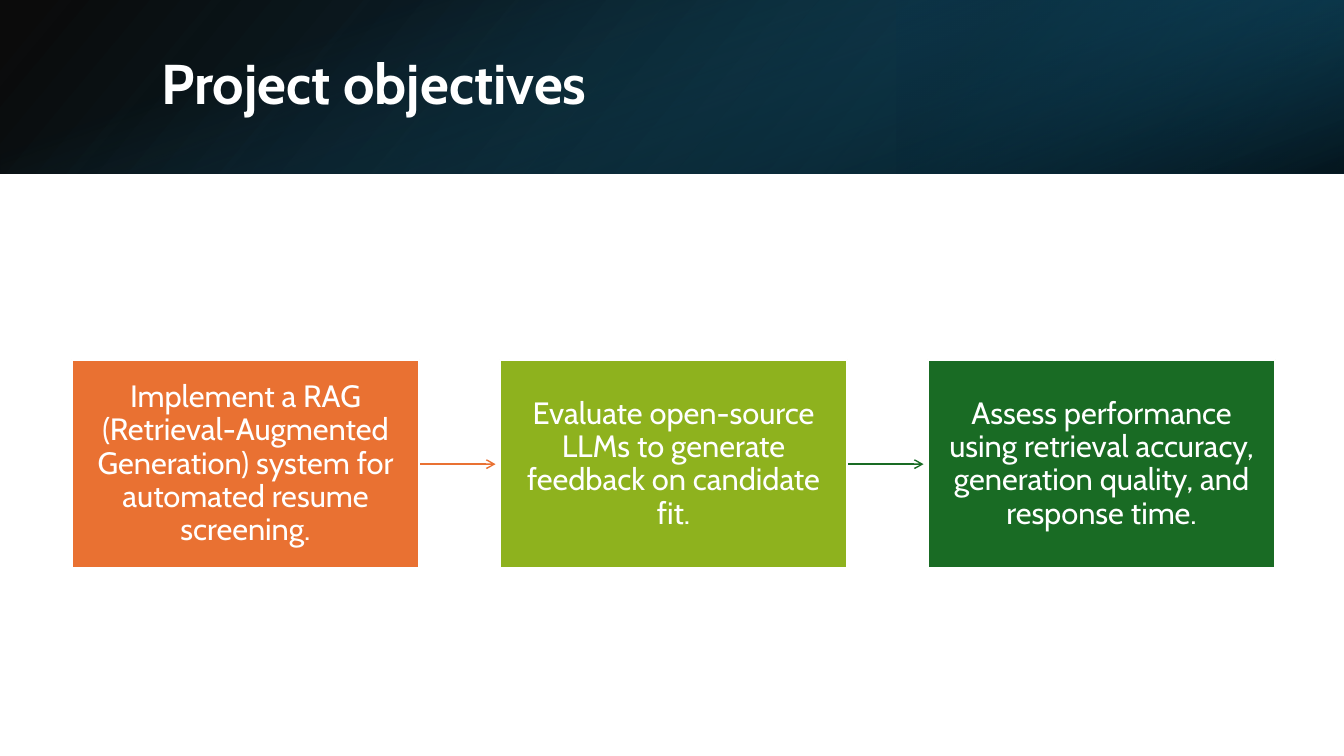
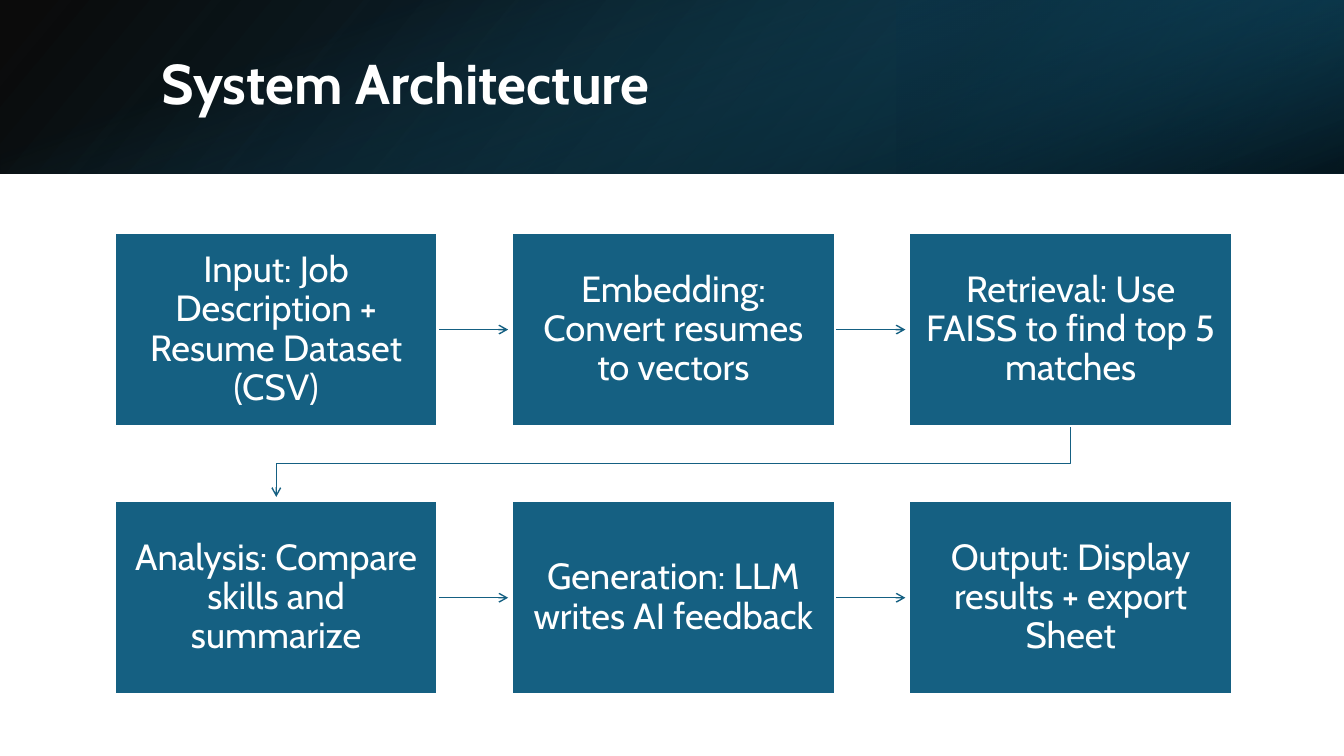
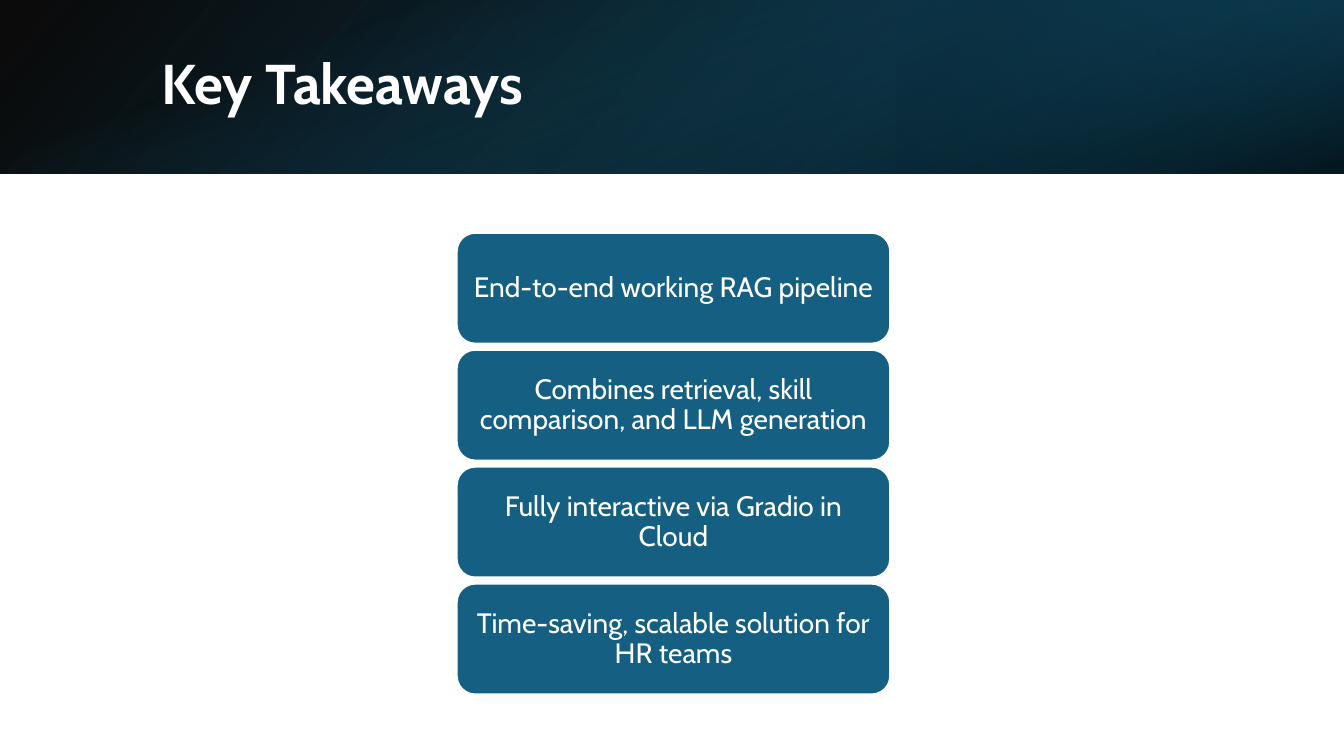
"""Build three slides on a RAG resume screening project."""
from pptx import Presentation
from pptx import util as u
from pptx.dml.color import RGBColor
from pptx.enum import shapes, text
from pptx.oxml import parse_xml
from pptx.oxml.ns import nsdecls

HUES = {"white": "FFFFFF", "black": "000000", "navy": "0B3041", "deep": "104862",
        "blue": "156082", "orange": "E97132", "lime": "8EB21E", "green": "196B24"}
KIND = shapes.MSO_SHAPE
WIDE, BAND = 13.33, 1.72

BANDS = [
    {"at": (0, 0, WIDE, BAND), "turn": 0, "flip": True, "angle": 140,
     "stops": [(0, "black", 96), (100, "deep", 100)]},
    {"at": (8.89, 0, 4.44, BAND), "turn": 180, "flip": True, "angle": 320,
     "stops": [(19, "navy", 68), (100, "blue", 79)]},
    {"at": ((WIDE - BAND) / 2, (BAND - WIDE) / 2, BAND, WIDE), "turn": 90,
     "flip": False, "angle": 340,
     "stops": [(23, "blue", 0), (99, "black", 74)]},
]

PAGES = [
    {"title": "Project objectives", "kind": KIND.RECTANGLE, "cols": 3,
     "start": (0.71, 3.57), "box": (3.45, 2.07), "step": (4.245, 0),
     "size": 22, "inset": (0.17, 0.18),
     "fills": ["orange", "lime", "green"], "lines": ["orange", "green"],
     "words": [
         "Implement a RAG (Retrieval-Augmented Generation) system for automated resume screening.",
         "Evaluate open-source LLMs to generate feedback on candidate fit.",
         "Assess performance using retrieval accuracy, generation quality, and response time."]},
    {"title": "System Architecture", "kind": KIND.RECTANGLE, "cols": 3,
     "start": (1.14, 2.31), "box": (3.2, 1.92), "step": (3.94, 2.66),
     "size": 26, "inset": (0.16, 0.16),
     "fills": ["blue"] * 6, "lines": ["blue"] * 5,
     "words": [
         "Input: Job Description + Resume Dataset (CSV)",
         "Embedding: Convert resumes to vectors",
         "Retrieval: Use FAISS to find top 5 matches",
         "Analysis: Compare skills and summarize",
         "Generation: LLM writes AI feedback",
         "Output: Display results + export Sheet"]},
    {"title": "Key Takeaways", "kind": KIND.ROUNDED_RECTANGLE, "cols": 1,
     "start": (4.53, 2.31), "box": (4.3, 1.1), "step": (0, 1.16),
     "size": 20, "inset": (0.08, 0.04),
     "fills": ["blue"] * 4, "lines": [],
     "words": [
         "End-to-end working RAG pipeline",
         "Combines retrieval, skill comparison, and LLM generation",
         "Fully interactive via Gradio in Cloud",
         "Time-saving, scalable solution for HR teams"]},
]


def write(frame, words, align, **style):
    """Put one styled paragraph in a text frame."""
    frame.text = words
    frame.word_wrap = True
    frame.vertical_anchor = text.MSO_ANCHOR.MIDDLE
    para = frame.paragraphs[0]
    para.alignment, para.line_spacing = align, 0.9
    font = para.runs[0].font
    for name, value in {"name": "Cabin", **style}.items():
        setattr(font, name, value)
    font.color.rgb = RGBColor.from_string(HUES["white"])


def arrow(page, points, hue):
    """Draw an arrow through the given points."""
    spots = [(u.Inches(x), u.Inches(y)) for x, y in points]
    if len(spots) == 2:
        line = page.shapes.add_connector(shapes.MSO_CONNECTOR.STRAIGHT, *spots[0], *spots[1])
        line.element.spPr.append(parse_xml(f"<a:effectLst {nsdecls('a')}/>"))
    else:
        form = page.shapes.build_freeform(*spots[0])
        form.add_line_segments(spots[1:], close=False)
        line = form.convert_to_shape()
        line.fill.background()
        line.shadow.inherit = False
    line.line.width = u.Pt(1)
    line.line.color.rgb = RGBColor.from_string(HUES[hue])
    line.line._get_or_add_ln().append(parse_xml(f'<a:tailEnd {nsdecls("a")} type="arrow"/>'))


deck = Presentation()
deck.slide_width, deck.slide_height = u.Inches(WIDE), u.Inches(7.5)
base = deck.slide_layouts.get_by_name("Title Only")
head = base.placeholders[0]
for name, value in {"left": 1.5, "top": 0.38, "width": 10.98, "height": 0.96}.items():
    setattr(head, name, u.Inches(value))

pages = [deck.slides.add_slide(base) for _ in PAGES]

for order, band in enumerate(BANDS):
    shape = pages[0].shapes.add_shape(KIND.RECTANGLE, *map(u.Inches, band["at"]))
    shape.rotation = band["turn"]
    shape.shadow.inherit = False
    shape.line.fill.background()
    shape.fill.background()
    stops = "".join(
        f'<a:gs pos="{spot * 1000}"><a:srgbClr val="{HUES[hue]}">'
        f'<a:alpha val="{alpha * 1000}"/></a:srgbClr></a:gs>'
        for spot, hue, alpha in band["stops"])
    blend = parse_xml(
        f'<a:gradFill {nsdecls("a")} rotWithShape="1"><a:gsLst>{stops}</a:gsLst>'
        f'<a:lin ang="{band["angle"] * 60000}" scaled="0"/></a:gradFill>')
    props = shape.element.spPr
    props.replace(props.find("{*}noFill"), blend)
    if band["flip"]:
        props.xfrm.set("flipH", "1")
    base.shapes.element.insert(2 + order, shape.element)

for page, plan in zip(pages, PAGES):
    write(page.shapes.title.text_frame, plan["title"], text.PP_ALIGN.LEFT,
          size=u.Pt(40), bold=True)
    wide, high = plan["box"]
    spots = [(plan["start"][0] + i % plan["cols"] * plan["step"][0],
              plan["start"][1] + i // plan["cols"] * plan["step"][1])
             for i in range(len(plan["words"]))]

    for (x, y), (nx, ny), hue in zip(spots, spots[1:], plan["lines"]):
        if y == ny:
            points = [(x + wide, y + high / 2), (nx - 0.04, y + high / 2)]
        else:
            mid = (y + high + ny) / 2
            points = [(x + wide / 2, y + high), (x + wide / 2, mid),
                      (nx + wide / 2, mid), (nx + wide / 2, ny - 0.04)]
        arrow(page, points, hue)

    for (x, y), words, hue in zip(spots, plan["words"], plan["fills"]):
        box = page.shapes.add_shape(plan["kind"], *map(u.Inches, (x, y, wide, high)))
        box.shadow.inherit = False
        box.fill.solid()
        box.fill.fore_color.rgb = RGBColor.from_string(HUES[hue])
        box.line.color.rgb = RGBColor.from_string(HUES["white"])
        box.line.width = u.Pt(1.5)
        across, down = map(u.Inches, plan["inset"])
        for name, value in {"margin_left": across, "margin_right": across,
                            "margin_top": down, "margin_bottom": down}.items():
            setattr(box.text_frame, name, value)
        write(box.text_frame, words, text.PP_ALIGN.CENTER, size=u.Pt(plan["size"]))

deck.save("out.pptx")
